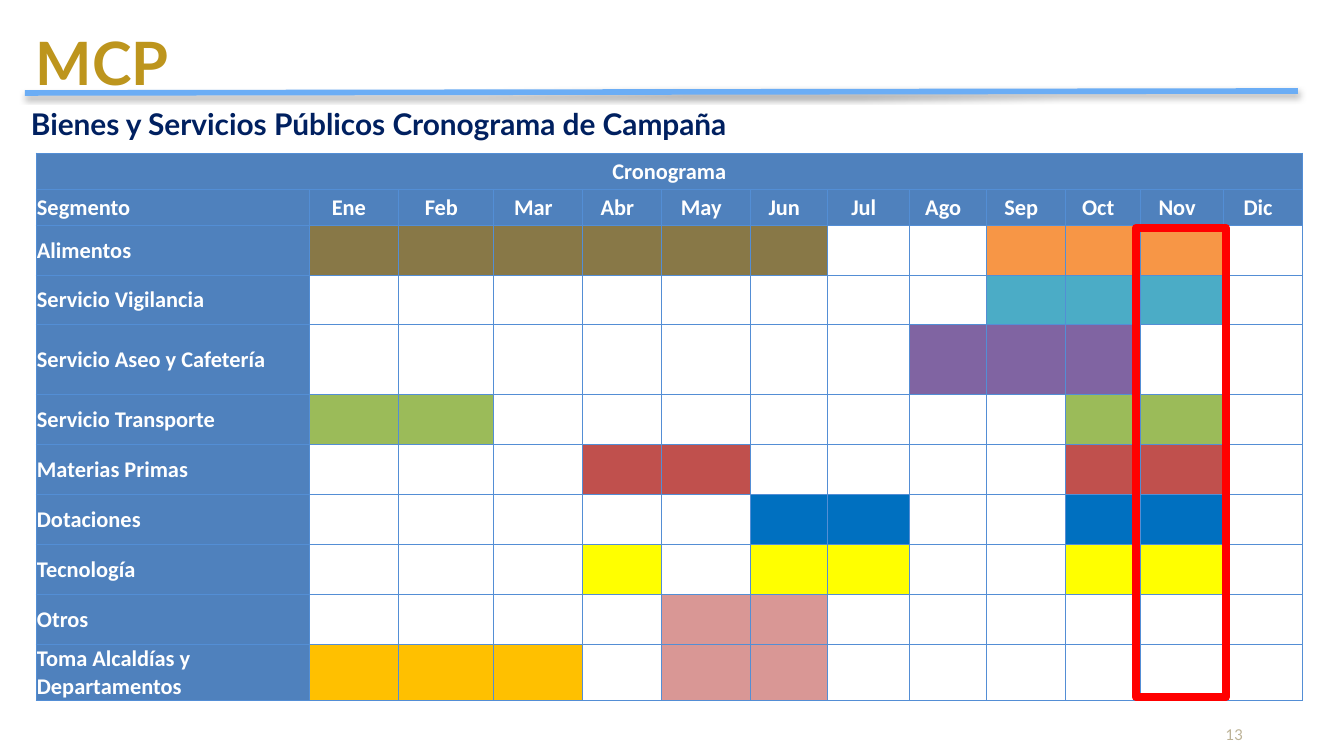
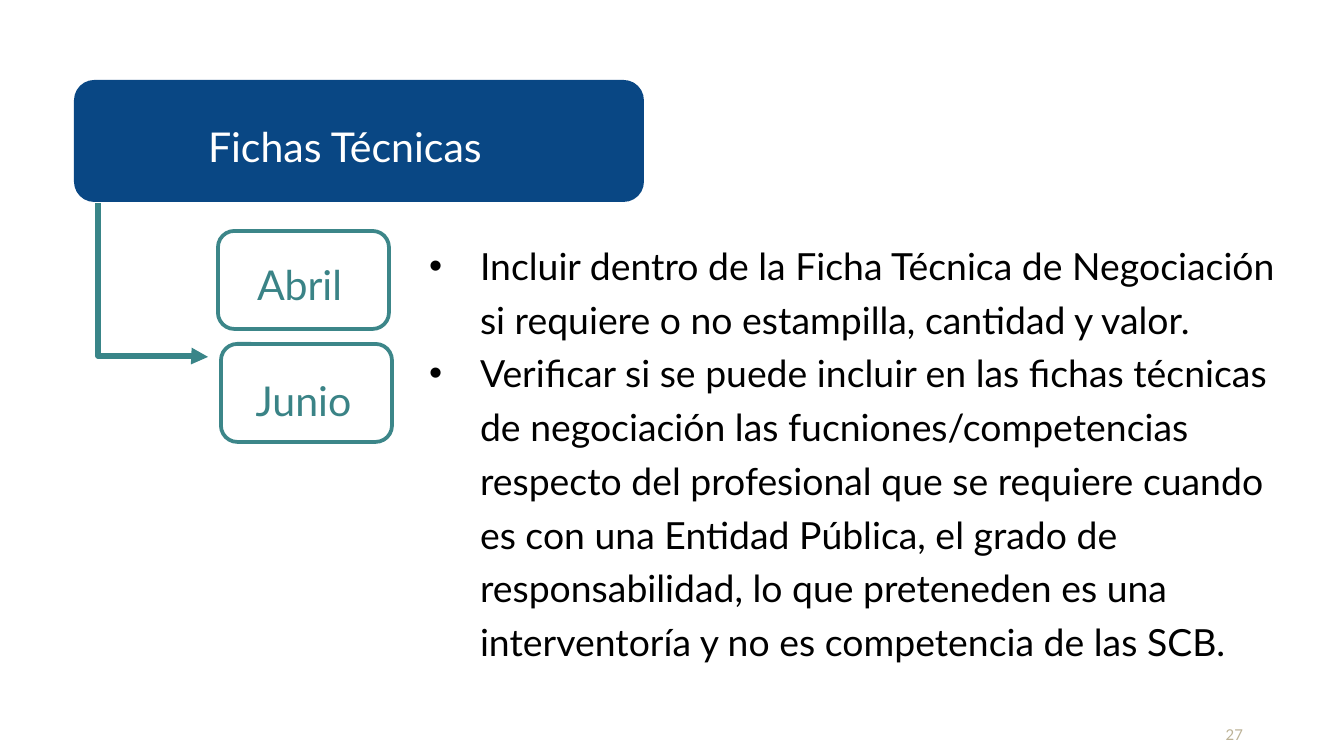
from lxml import etree
from pptx import Presentation
from pptx import util as u
from pptx.dml.color import RGBColor
from pptx.enum import shapes, text
from pptx.oxml.ns import qn

# Shared style
FONT, TABLE_FONT = "Lato", "Calibri"
WHITE, BLACK = "FFFFFF", "000000"
GOLD, NAVY, SAND, SKY = "BD951D", "002060", "BCB296", "6BADF5"
BLUE, GRID, RED, PINK = "4F81BD", "538ED5", "FF0000", "D99795"
BANNER, ARROW, BOX_LINE, BOX_TEXT = "094784", "398588", "3C8689", "3A8386"
LEFT, CENTER, RIGHT = (text.PP_ALIGN.LEFT, text.PP_ALIGN.CENTER,
                       text.PP_ALIGN.RIGHT)

# Content of the schedule
MONTHS = ["Ene", "Feb", "Mar", "Abr", "May", "Jun",
          "Jul", "Ago", "Sep", "Oct", "Nov", "Dic"]
SEGMENTS = [  # name, bars as (colour, first month, last month)
    ("Alimentos", [("887847", 1, 6), ("F79646", 9, 11)]),
    ("Servicio Vigilancia", [("4BACC6", 9, 11)]),
    ("Servicio Aseo y Cafetería", [("8064A2", 8, 10)]),
    ("Servicio Transporte", [("9BBB59", 1, 2), ("9BBB59", 10, 11)]),
    ("Materias Primas", [("C0504D", 4, 5), ("C0504D", 10, 11)]),
    ("Dotaciones", [("0070C0", 6, 7), ("0070C0", 10, 11)]),
    ("Tecnología", [("FFFF00", 4, 4), ("FFFF00", 6, 7), ("FFFF00", 10, 11)]),
    ("Otros", [(PINK, 5, 6)]),
    ("Toma Alcaldías y Departamentos", [("FFC000", 1, 3), (PINK, 5, 6)]),
]
COL_WIDTHS = [273, 90, 95, 89, 79, 89, 77, 82, 77, 79, 75, 83, 79]
ROW_HEIGHTS = [36, 36, 50, 50, 70, 50, 50, 50, 50, 50, 50, 34]

# Content of the data sheets slide
DATES = [("Abril", (218, 231), (220, 250)), ("Junio", (221, 344), (224, 366))]
POINTS = [
    "Incluir dentro de la Ficha Técnica de Negociación si requiere o no "
    "estampilla, cantidad y valor.",
    "Verificar si se puede incluir en las fichas técnicas de negociación las "
    "fucniones/competencias respecto del profesional que se requiere cuando "
    "es con una Entidad Pública, el grado de responsabilidad, lo que "
    "preteneden es una interventoría y no es competencia de las SCB.",
]


def px(n):
    return u.Emu(round(n * 914400 / 134.4))


def rgb(colour):
    return RGBColor.from_string(colour)


def sub(parent, tag, **attrs):
    return etree.SubElement(parent, qn(tag), attrs)


def style(font, size, colour, bold=False, name=FONT):
    font.name, font.size, font.bold = name, u.Pt(size), bold
    font.color.rgb = rgb(colour)


def write(sp, lines, size, colour, bold=False, align=LEFT, spacing=1.2,
          anchor=text.MSO_ANCHOR.TOP, bullet=False):
    tf = sp.text_frame
    tf.text = "\n".join(lines)
    tf.word_wrap, tf.auto_size = True, text.MSO_AUTO_SIZE.NONE
    tf.vertical_anchor = anchor
    tf.margin_left = tf.margin_right = tf.margin_top = tf.margin_bottom = 0
    for p in tf.paragraphs:
        p.alignment, p.line_spacing = align, spacing
        p.space_before = u.Pt(0)
        if bullet:
            pPr = p._p.get_or_add_pPr()
            pPr.set("marL", str(px(51)))
            pPr.set("indent", str(px(-51)))
            sub(pPr, "a:buFont", typeface="Arial")
            sub(pPr, "a:buChar", char="•")
        for r in p.runs:
            style(r.font, size, colour, bold)


def place(sp, left, top, width, height):
    sp.left, sp.top, sp.width, sp.height = map(px, (left, top, width, height))
    return sp


def textbox(s, box, lines, size, colour, **kw):
    sp = s.shapes.add_textbox(*map(px, box))
    write(sp, lines, size, colour, **kw)


def shape(s, kind, box, fill=None, line=None, width=0):
    sp = s.shapes.add_shape(kind, *map(px, box))
    sp.shadow.inherit = False
    if fill:
        sp.fill.solid()
        sp.fill.fore_color.rgb = rgb(fill)
    else:
        sp.fill.background()
    if line:
        sp.line.color.rgb, sp.line.width = rgb(line), u.Pt(width)
    else:
        sp.line.fill.background()
    return sp


def connector(s, kind, ends, colour):
    cx = s.shapes.add_connector(kind, *map(px, ends))
    cx.line.color.rgb, cx.line.width = rgb(colour), u.Pt(3)
    return cx, sub(cx._element.spPr, "a:effectLst")


def new_slide(prs, layout, number):
    s = prs.slides.add_slide(prs.slide_layouts[layout])
    textbox(s, (1200, 726, 43, 17), [number], 8, SAND, align=RIGHT,
            spacing=1.0, anchor=text.MSO_ANCHOR.BOTTOM)
    return s


def set_cell(cell, words="", fill=None, align=LEFT, sides="LRTB", right=1):
    cell.text = words
    cell.vertical_anchor = text.MSO_ANCHOR.MIDDLE
    cell.margin_left = cell.margin_top = px(1)
    cell.margin_right, cell.margin_bottom = px(right), 0
    p = cell.text_frame.paragraphs[0]
    p.alignment = align
    for r in p.runs:
        style(r.font, 12, WHITE, True, TABLE_FONT)
    if not words:
        sub(p._p, "a:endParaRPr", sz="1200")
    tcPr = cell._tc.get_or_add_tcPr()
    for side in "LRTB":
        ln = sub(tcPr, "a:ln" + side, w=str(u.Pt(0.5)))
        if side in sides:
            sub(sub(ln, "a:solidFill"), "a:srgbClr", val=GRID)
        else:
            sub(ln, "a:noFill")
    if fill:
        cell.fill.solid()
        cell.fill.fore_color.rgb = rgb(fill)
    else:
        cell.fill.background()


def add_schedule(s):
    rows, cols = len(ROW_HEIGHTS), len(COL_WIDTHS)
    t = s.shapes.add_table(rows, cols, px(36), px(153), px(sum(COL_WIDTHS)),
                           px(sum(ROW_HEIGHTS))).table
    t.first_row = t.horz_banding = False
    for col, width in zip(t.columns, COL_WIDTHS):
        col.width = px(width)
    for row, height in zip(t.rows, ROW_HEIGHTS):
        row.height = px(height)
    # Two header rows
    for c in range(cols):
        set_cell(t.cell(0, c), "" if c else "Cronograma", BLUE, CENTER)
    t.cell(0, 0).merge(t.cell(0, cols - 1))
    set_cell(t.cell(1, 0), "Segmento", BLUE)
    for c, month in enumerate(MONTHS, 1):
        set_cell(t.cell(1, c), month, BLUE, CENTER, right=11)
    # One row per segment
    for i, (name, bars) in enumerate(SEGMENTS, 2):
        fills = {m: colour for colour, first, last in bars
                 for m in range(first, last + 1)}
        set_cell(t.cell(i, 0), name, BLUE)
        for m in range(1, cols):
            set_cell(t.cell(i, m), fill=fills.get(m))
    # Open closing row
    for c in range(cols):
        set_cell(t.cell(rows - 1, c), sides="T")
    t.cell(rows - 1, 0).merge(t.cell(rows - 1, 2))


def schedule_slide(prs):
    s = new_slide(prs, 5, "13")
    write(place(s.shapes.title, 36, 11, 560, 79), ["MCP"], 32, GOLD, bold=True)
    _, effects = connector(s, shapes.MSO_CONNECTOR.STRAIGHT,
                           (25, 93, 1298, 91), SKY)
    shadow = sub(effects, "a:outerShdw", blurRad=str(u.Pt(3.1)),
                 dist=str(u.Pt(1.8)), dir="5400000", rotWithShape="0")
    sub(sub(shadow, "a:srgbClr", val=BLACK), "a:alpha", val="35000")
    textbox(s, (31, 99, 1271, 43),
            ["Bienes y Servicios Públicos Cronograma de Campaña"],
            16, NAVY, bold=True)
    add_schedule(s)
    # Current month
    shape(s, shapes.MSO_SHAPE.RECTANGLE, (1136, 228, 90, 469), line=RED,
          width=4.5)


def sheets_slide(prs):
    s = new_slide(prs, 1, "27")
    rounded = shapes.MSO_SHAPE.ROUNDED_RECTANGLE
    write(place(s.placeholders[1], 429, 234, 870, 532), POINTS, 20, BLACK,
          bullet=True)
    # Banner with the title in front of it
    shape(s, rounded, (74, 80, 570, 122), fill=BANNER)
    title = place(s.shapes.title, 208, 112, 558, 59)
    write(title, ["Fichas Técnicas"], 22, WHITE)
    title.element.getparent().append(title.element)
    # Elbow arrow: down, then right
    cx, _ = connector(s, shapes.MSO_CONNECTOR.ELBOW, (230, 225, 76, 335),
                      ARROW)
    spPr = cx._element.spPr
    spPr.find(qn("a:xfrm")).set("rot", "16200000")
    guides = spPr.find(qn("a:prstGeom")).find(qn("a:avLst"))
    sub(guides, "a:gd", name="adj1", fmla="val 99500")
    sub(spPr.find(qn("a:ln")), "a:tailEnd", type="triangle")
    # Date boxes
    for name, box, label in DATES:
        shape(s, rounded, (*box, 171, 98), WHITE, BOX_LINE, 2)
        textbox(s, (*label, 159, 54), [name], 22, BOX_TEXT, align=CENTER)


def main():
    prs = Presentation()
    prs.slide_width, prs.slide_height = px(1344), px(756)
    schedule_slide(prs)
    sheets_slide(prs)
    prs.save("out.pptx")


if __name__ == "__main__":
    main()
